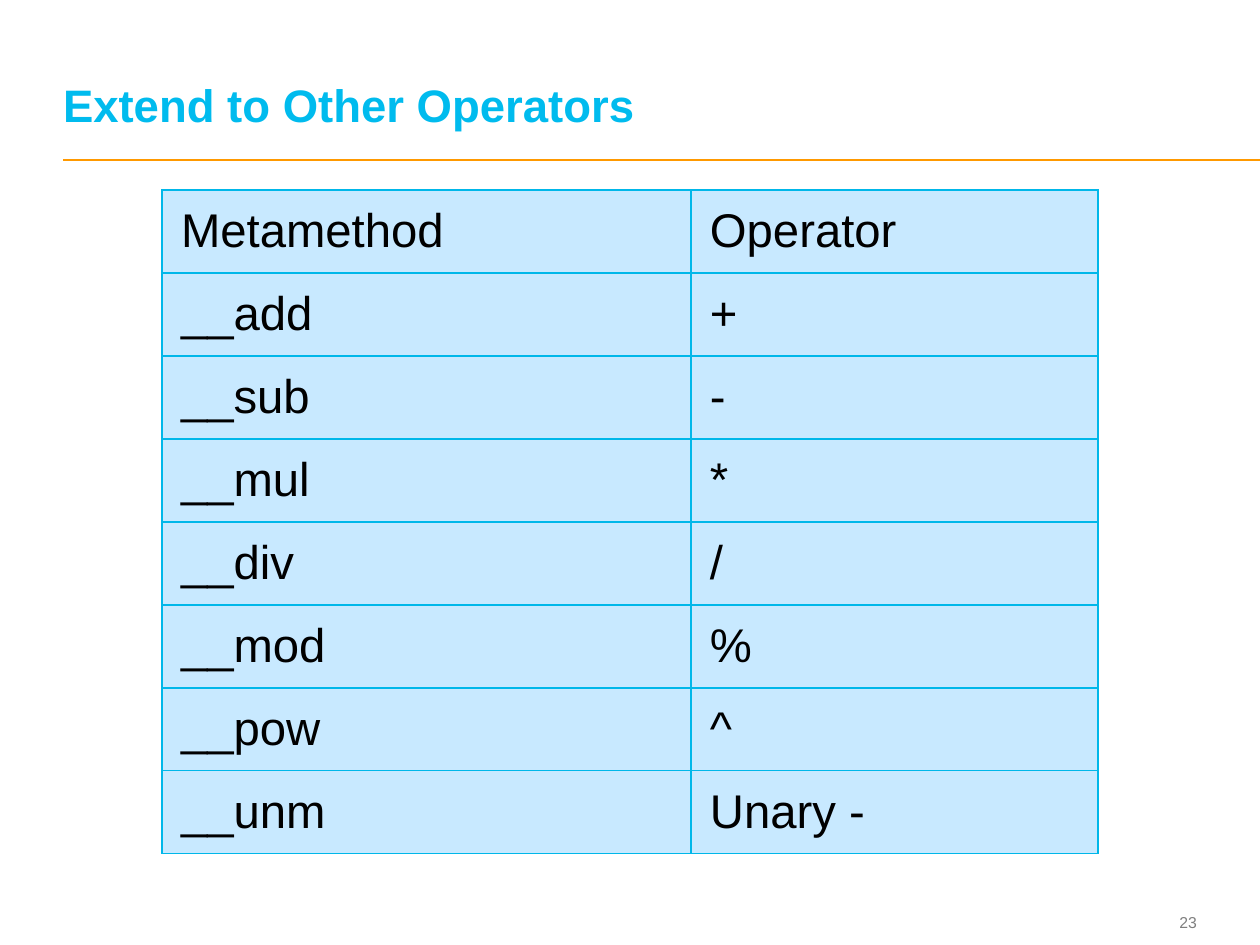
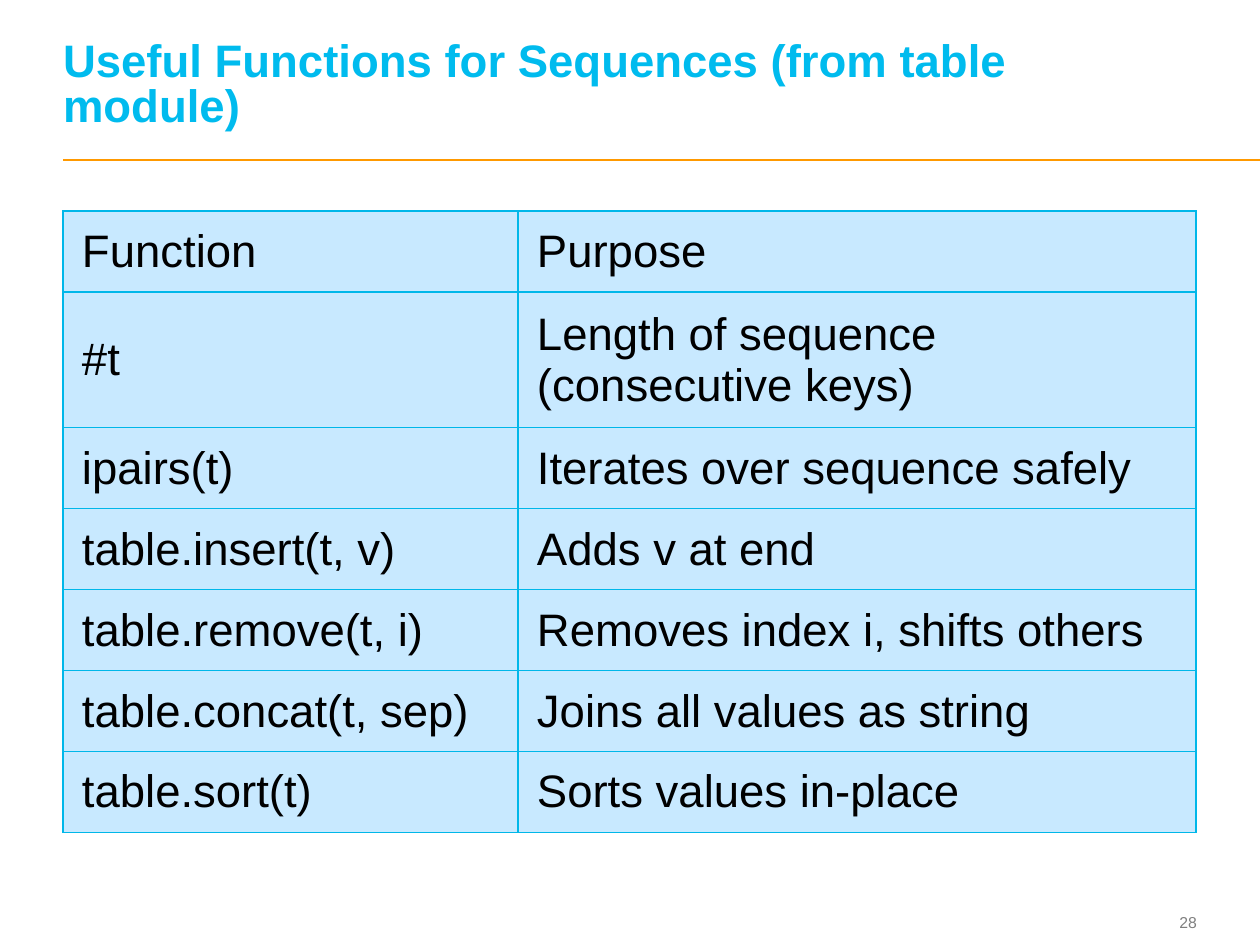
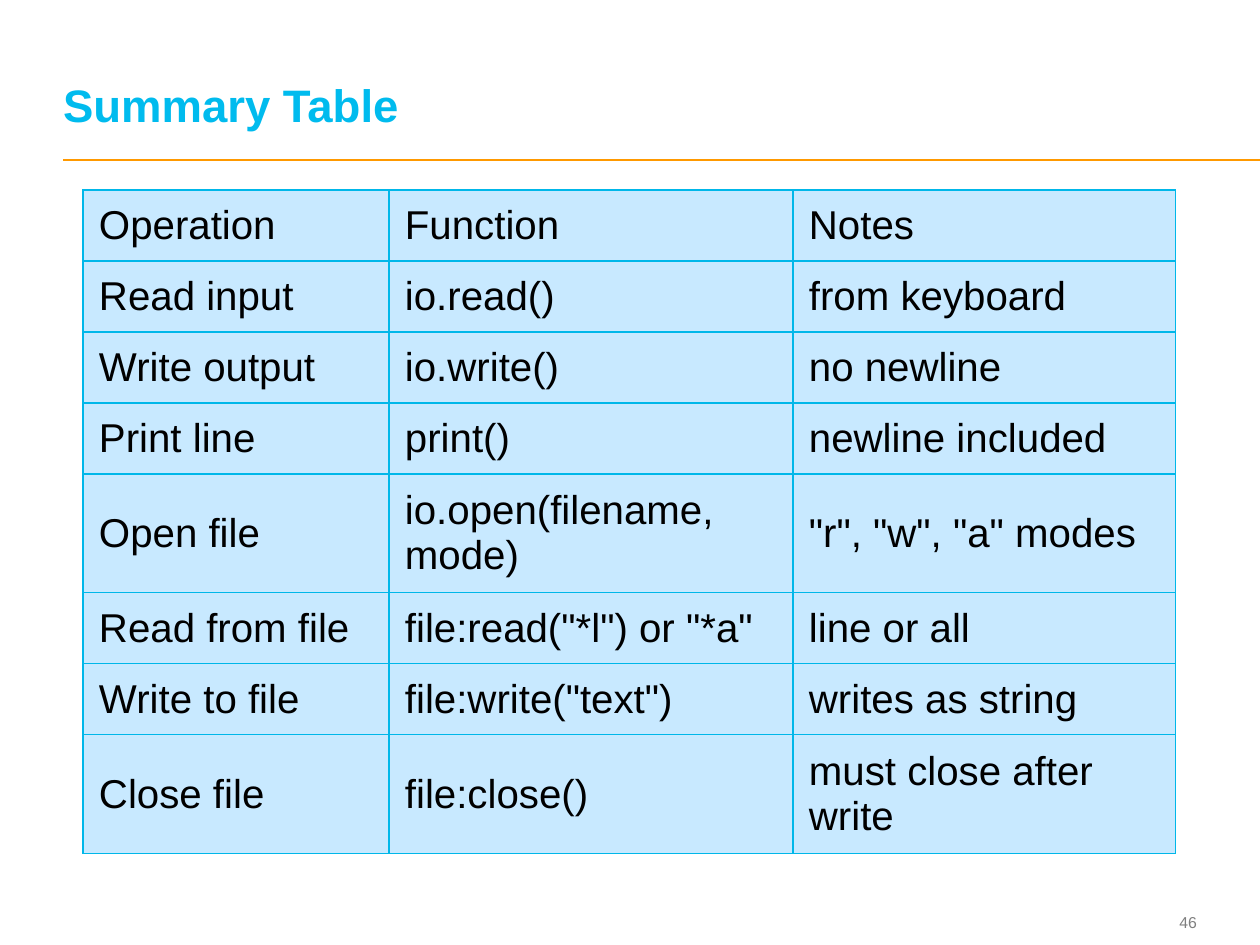
"""Build three slides of Lua reference tables."""
from lxml import etree
from pptx import Presentation, util as u
from pptx.dml.color import RGBColor
from pptx.enum import shapes, text
from pptx.oxml.ns import qn

COLORS = {"title": "00BBEE", "rule": "FF9900", "number": "7F7F7F",
          "body": "000000", "cell": "C8E9FF", "border": "00B7E9"}
FONT = "Arial"
PX = 914400 / 126
WIDTH, HEIGHT = 1260, 945
TITLE_BOX = (63, 24, 1130, 108)
NUMBER_BOX = (1123, 905, 74, 34)
RULE_LEFT, RULE_TOP = 63, 160

SLIDES = [
    {"title": "Extend to Other Operators", "number": "23",
     "left": 162, "top": 190, "columns": (529, 407),
     "row": 83, "tall_row": 83, "tall": (), "margins": (19, 9), "size": 27,
     "rows": [
         ("Metamethod", "Operator"),
         ("__add", "+"),
         ("__sub", "-"),
         ("__mul", "*"),
         ("__div", "/"),
         ("__mod", "%"),
         ("__pow", "^"),
         ("__unm", "Unary -")]},
    {"title": "Useful Functions for Sequences (from table module)", "number": "28",
     "left": 63, "top": 211, "columns": (455, 678),
     "row": 81, "tall_row": 136, "tall": (1,), "margins": (19, 9), "size": 26,
     "rows": [
         ("Function", "Purpose"),
         ("#t", "Length of sequence (consecutive keys)"),
         ("ipairs(t)", "Iterates over sequence safely"),
         ("table.insert(t, v)", "Adds v at end"),
         ("table.remove(t, i)", "Removes index i, shifts others"),
         ("table.concat(t, sep)", "Joins all values as string"),
         ("table.sort(t)", "Sorts values in-place")]},
    {"title": "Summary Table", "number": "46",
     "left": 83, "top": 190, "columns": (306, 404, 383),
     "row": 71, "tall_row": 119, "tall": (4, 7), "margins": (16, 8), "size": 23,
     "rows": [
         ("Operation", "Function", "Notes"),
         ("Read input", "io.read()", "from keyboard"),
         ("Write output", "io.write()", "no newline"),
         ("Print line", "print()", "newline included"),
         ("Open file", "io.open(filename, mode)", '"r", "w", "a" modes'),
         ("Read from file", 'file:read("*l") or "*a"', "line or all"),
         ("Write to file", 'file:write("text")', "writes as string"),
         ("Close file", "file:close()", "must close after write")]},
]


def px(length):
    return u.Emu(round(length * PX))


def style(paragraph, size, color, bold=False):
    for run in paragraph.runs:
        run.font.name = FONT
        run.font.size = u.Pt(size)
        run.font.bold = bold
        run.font.color.rgb = RGBColor.from_string(COLORS[color])


def add_label(slide, box, words, size, color, anchor, bold=False):
    frame = slide.shapes.add_textbox(*map(px, box)).text_frame
    frame.word_wrap = True
    frame.vertical_anchor = anchor
    frame.margin_left = frame.margin_top = frame.margin_right = frame.margin_bottom = 0
    frame.text = words
    style(frame.paragraphs[0], size, color, bold)
    return frame.paragraphs[0]


def add_frame(slide, title, number):
    rule = slide.shapes.add_connector(
        shapes.MSO_CONNECTOR.STRAIGHT,
        px(RULE_LEFT), px(RULE_TOP), px(WIDTH), px(RULE_TOP))
    rule.line.color.rgb = RGBColor.from_string(COLORS["rule"])
    rule.line.width = u.Pt(1)
    etree.SubElement(rule._element.spPr, qn("a:effectLst"))
    page = add_label(slide, NUMBER_BOX, number, 9, "number", text.MSO_ANCHOR.MIDDLE)
    page.alignment = text.PP_ALIGN.RIGHT
    heading = add_label(slide, TITLE_BOX, title, 26, "title", text.MSO_ANCHOR.BOTTOM, True)
    heading.line_spacing = u.Pt(26)


def add_borders(cell):
    properties = cell._tc.get_or_add_tcPr()
    for side in ("lnL", "lnR", "lnT", "lnB"):
        line = etree.SubElement(properties, qn(f"a:{side}"), w=str(u.Pt(0.75)))
        fill = etree.SubElement(line, qn("a:solidFill"))
        etree.SubElement(fill, qn("a:srgbClr"), val=COLORS["border"])


def add_grid(slide, content):
    rows, columns = content["rows"], content["columns"]
    heights = [content["tall_row"] if i in content["tall"] else content["row"]
               for i in range(len(rows))]
    grid = slide.shapes.add_table(
        len(rows), len(columns), px(content["left"]), px(content["top"]),
        px(sum(columns)), px(sum(heights))).table
    grid.first_row = grid.horz_banding = False
    for column, width in zip(grid.columns, columns):
        column.width = px(width)
    side, edge = map(px, content["margins"])
    for row, height, entries in zip(grid.rows, heights, rows):
        row.height = px(height)
        for cell, entry in zip(row.cells, entries):
            cell.text = entry
            cell.vertical_anchor = text.MSO_ANCHOR.MIDDLE
            cell.margin_left = cell.margin_right = side
            cell.margin_top = cell.margin_bottom = edge
            add_borders(cell)
            cell.fill.solid()
            cell.fill.fore_color.rgb = RGBColor.from_string(COLORS["cell"])
            style(cell.text_frame.paragraphs[0], content["size"], "body")


def main():
    deck = Presentation()
    deck.slide_width, deck.slide_height = px(WIDTH), px(HEIGHT)
    for content in SLIDES:
        slide = deck.slides.add_slide(deck.slide_layouts[6])
        add_frame(slide, content["title"], content["number"])
        add_grid(slide, content)
    deck.save("out.pptx")


if __name__ == "__main__":
    main()
